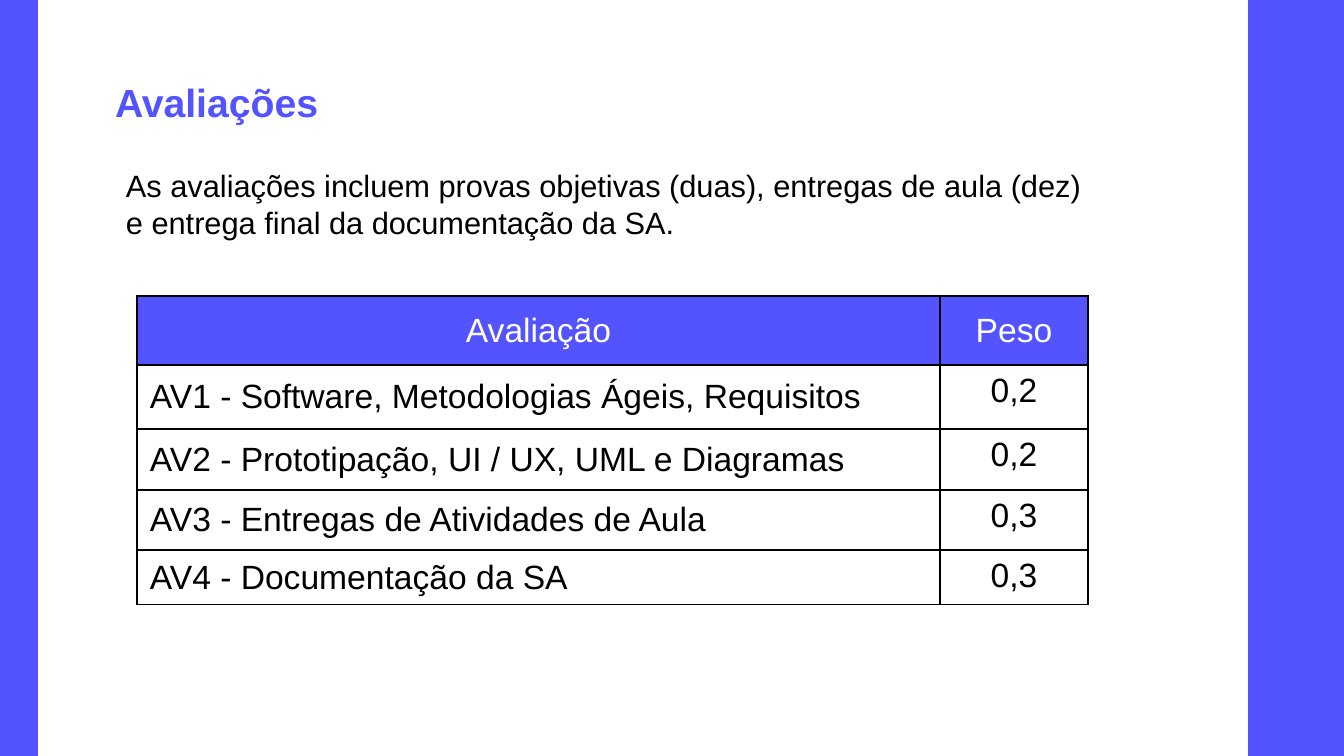
"""Build the slide on assessments and their weights."""
from lxml import etree
from pptx import Presentation
from pptx.dml.color import RGBColor
from pptx.enum.shapes import MSO_SHAPE as Shape
from pptx.enum.text import MSO_ANCHOR as Anchor, PP_ALIGN as Align
from pptx.oxml.ns import qn
from pptx.util import Pt

BLUE, BLACK, WHITE = "5353FF", "000000", "FFFFFF"


def px(n):
    return round(n * 914400 / 100.8)


def style(para, size, tint, bold=False):
    for run in para.runs:
        run.font.name = "Arial"
        run.font.size = Pt(size)
        run.font.bold = bold
        run.font.color.rgb = RGBColor.from_string(tint)


deck = Presentation()
deck.slide_width, deck.slide_height = px(1344), px(756)
slide = deck.slides.add_slide(deck.slide_layouts[6])

for left, width in [(1249, 95), (-1, 38)]:
    band = slide.shapes.add_shape(Shape.RECTANGLE, px(left), 0, px(width), px(756))
    band.shadow.inherit = False
    band.fill.solid()
    band.fill.fore_color.rgb = RGBColor.from_string(BLUE)
    band.line.color.rgb = RGBColor.from_string(BLUE)
    band.line.width = Pt(1)

texts = [
    ("Avaliações", 105, 79, 231, 56, 10, 28, BLUE, True, Anchor.BOTTOM),
    ("As avaliações incluem provas objetivas (duas), entregas de aula (dez) "
     "e entrega final da documentação da SA.",
     113, 154, 989, 118, 13, 22, BLACK, False, Anchor.TOP),
]
for text, left, top, width, height, inset, size, tint, bold, anchor in texts:
    box = slide.shapes.add_textbox(px(left), px(top), px(width), px(height))
    frame = box.text_frame
    frame.word_wrap = True
    frame.vertical_anchor = anchor
    frame.margin_left = frame.margin_right = px(inset)
    frame.margin_top = frame.margin_bottom = px(inset)
    frame.text = text
    style(frame.paragraphs[0], size, tint, bold)

rows = [
    ("Avaliação", "Peso", 69),
    ("AV1 - Software, Metodologias Ágeis, Requisitos", "0,2", 64),
    ("AV2 - Prototipação, UI / UX, UML e Diagramas", "0,2", 61),
    ("AV3 - Entregas de Atividades de Aula", "0,3", 60),
    ("AV4 - Documentação da SA", "0,3", 55),
]
total = sum(row[-1] for row in rows)
table = slide.shapes.add_table(len(rows), 2, px(137), px(296), px(951), px(total)).table
for col, width in zip(table.columns, (803, 148)):
    col.width = px(width)

for r, (*words, height) in enumerate(rows):
    table.rows[r].height = px(height)
    for c, word in enumerate(words):
        cell = table.cell(r, c)
        head = r == 0
        cell.text_frame.text = word
        cell.margin_left = cell.margin_right = px(13)
        cell.margin_top = cell.margin_bottom = px(7)
        cell.vertical_anchor = Anchor.MIDDLE if head or c == 0 else Anchor.TOP
        para = cell.text_frame.paragraphs[0]
        para.alignment = Align.CENTER if head or c else Align.LEFT
        style(para, 24, WHITE if head else BLACK)
        props = cell._tc.get_or_add_tcPr()
        for side in ("a:lnL", "a:lnR", "a:lnT", "a:lnB"):
            edge = etree.SubElement(props, qn(side), w=str(Pt(1)))
            fill = etree.SubElement(edge, qn("a:solidFill"))
            etree.SubElement(fill, qn("a:srgbClr"), val=BLACK)
        if head:
            cell.fill.solid()
            cell.fill.fore_color.rgb = RGBColor.from_string(BLUE)
        else:
            cell.fill.background()

deck.save("out.pptx")
